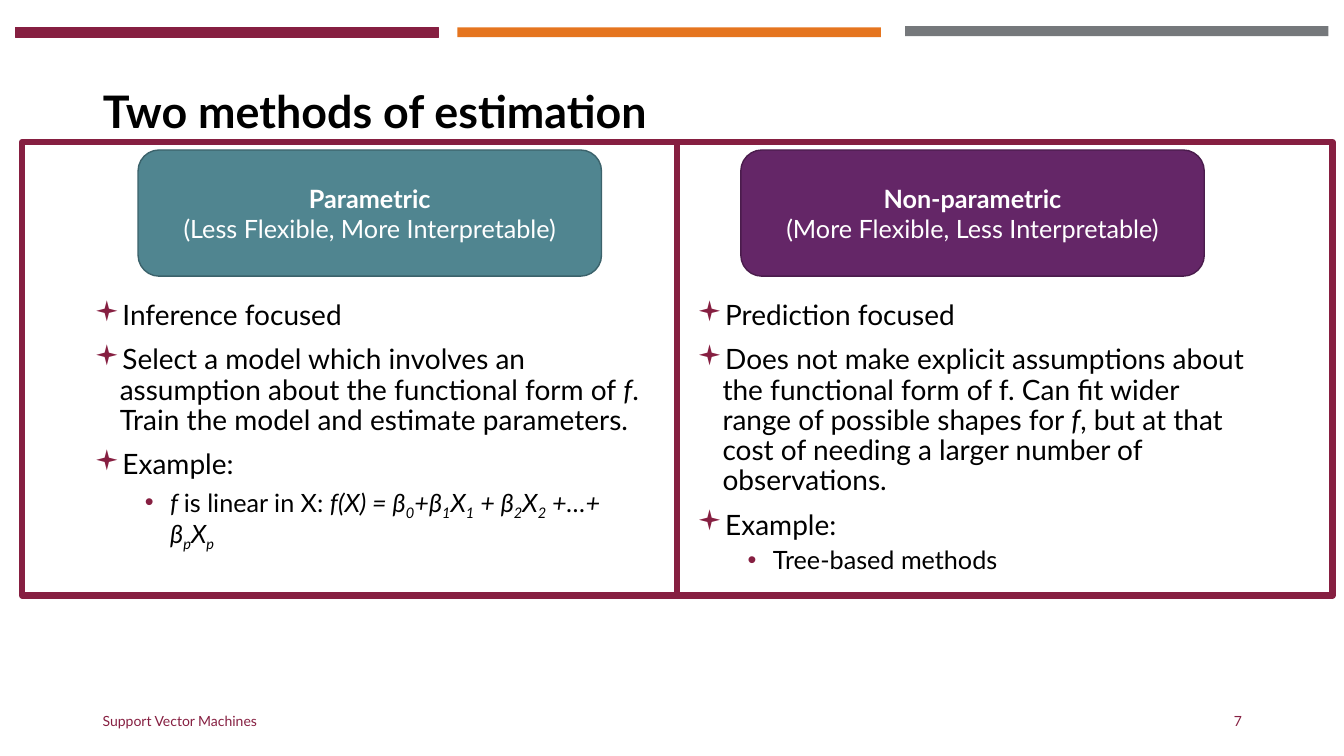
"""Build the slide comparing parametric and non-parametric estimation."""
from dataclasses import dataclass

from lxml.etree import SubElement
from pptx import Presentation
from pptx.dml.color import RGBColor as Rgb
from pptx.enum.shapes import MSO_SHAPE as Kind
from pptx.enum.text import MSO_ANCHOR as Anchor, MSO_AUTO_SIZE as Fit, PP_ALIGN as Align
from pptx.oxml.ns import qn
from pptx.util import Cm, Pt

HUES = {
    "maroon": "861F41", "orange": "E5751F", "gray": "75787B",
    "teal": "508590", "pine": "3B626B", "purple": "642667", "plum": "4A1C4C",
    "black": "000000", "white": "FFFFFF",
}
FACE = "Lato"
PITCH = 15.19


@dataclass
class Box:
    left: float
    top: float
    width: float
    height: float

    def place(self) -> tuple:
        return Cm(self.left), Cm(self.top), Cm(self.width), Cm(self.height)


@dataclass
class Bar:
    left: float
    top: float
    hue: str
    edge: float = 0


@dataclass
class Note:
    box: Box
    text: str
    align: Align


@dataclass
class Span:
    text: str
    slant: bool = False
    sub: bool = False


@dataclass
class Item:
    spans: list[Span]
    level: int = 0


@dataclass
class Method:
    name: str
    trait: str
    fill: str
    edge: str
    items: list[Item]


BARS = [
    Bar(0.38, 0.69, "maroon", 0.75),
    Bar(22.81, 0.66, "gray"),
    Bar(11.53, 0.69, "orange"),
]
NOTES = [
    Note(Box(2.34, 17.65, 11.43, 1.02), "Support Vector Machines", Align.LEFT),
    Note(Box(23.93, 17.65, 7.62, 1.02), "7", Align.RIGHT),
]
TERMS = [("f(X) = β", "0"), ("+β", "1"), ("X", "1"), (" + β", "2"),
         ("X", "2"), (" +…+ β", "p"), ("X", "p")]
MODEL = [Span("f ", True), Span("is linear in X: ")] + [
    span for base, mark in TERMS for span in (Span(base, True), Span(mark, True, True))
]
METHODS = [
    Method("Parametric", "(Less Flexible, More Interpretable)", "teal", "pine", [
        Item([Span("Inference focused")]),
        Item([Span("Select a model which involves an assumption about the functional form of "),
              Span("f", True), Span(". Train the model and estimate parameters.")]),
        Item([Span("Example:")]),
        Item(MODEL, 1),
    ]),
    Method("Non-parametric", "(More Flexible, Less Interpretable)", "purple", "plum", [
        Item([Span("Prediction focused")]),
        Item([Span("Does not make explicit assumptions about the functional form of f. "
                   "Can fit wider range of possible shapes for "), Span("f", True),
              Span(", but at that cost of needing a larger number of observations.")]),
        Item([Span("Example:")]),
        Item([Span("Tree-based methods")], 1),
    ]),
]


def color(hue: str) -> Rgb:
    return Rgb.from_string(HUES[hue])


def style(para, size: float, hue: str, bold: bool = False) -> None:
    font = para.font
    font.name, font.size, font.bold = FACE, Pt(size), bold
    font.color.rgb = color(hue)


def draw(slide, kind: Kind, box: Box, fill: str = "", edge: str = "", width: float = 0):
    shape = slide.shapes.add_shape(kind, *box.place())
    shape.shadow.inherit = False
    if fill:
        shape.fill.solid()
        shape.fill.fore_color.rgb = color(fill)
    else:
        shape.fill.background()
    if edge:
        shape.line.color.rgb = color(edge)
        shape.line.width = Pt(width)
    else:
        shape.line.fill.background()
    return shape


def label(slide, box: Box, anchor: Anchor):
    frame = slide.shapes.add_textbox(*box.place()).text_frame
    frame.word_wrap = True
    frame.vertical_anchor = anchor
    return frame


def bullet(para, level: int) -> None:
    props = para._p.get_or_add_pPr()
    props.set("marL", str(Cm(1.91 if level else 0.64)))
    props.set("indent", str(Cm(-0.64)))
    tint = SubElement(props, qn("a:buClr"))
    SubElement(tint, qn("a:srgbClr")).set("val", HUES["maroon"])
    SubElement(props, qn("a:buFont")).set("typeface", "Arial" if level else "Wingdings")
    SubElement(props, qn("a:buChar")).set("char", "•" if level else "▪")


def write(frame, items: list[Item]) -> None:
    for rank, item in enumerate(items):
        para = frame.add_paragraph() if rank else frame.paragraphs[0]
        para.level = item.level
        bullet(para, item.level)
        para.line_spacing = 0.9
        para.space_before = Pt((5 if item.level else 10) if rank else 0)
        style(para, 18 if item.level else 20, "black")
        for span in item.spans:
            run = para.add_run()
            run.text = span.text
            if span.slant:
                run.font.italic = True
            if span.sub:
                run._r.get_or_add_rPr().set("baseline", "-25000")


def card(slide, box: Box, method: Method) -> None:
    shape = draw(slide, Kind.ROUNDED_RECTANGLE, box, method.fill, method.edge, 1)
    frame = shape.text_frame
    frame.word_wrap = True
    frame.vertical_anchor = Anchor.MIDDLE
    frame.text = f"{method.name}\n{method.trait}"
    for para, bold in zip(frame.paragraphs, (True, False)):
        para.alignment = Align.CENTER
        style(para, 18, "white", bold)


def head(slide, box: Box, text: str) -> None:
    title = slide.shapes.title
    title.left, title.top, title.width, title.height = box.place()
    frame = title.text_frame
    frame.text = text
    frame.auto_size = Fit.NONE
    frame.vertical_anchor = Anchor.MIDDLE
    para = frame.paragraphs[0]
    para.alignment = Align.LEFT
    para.line_spacing = 0.9
    style(para, 32, "black", True)


def main() -> None:
    deck = Presentation()
    deck.slide_width, deck.slide_height = Cm(33.87), Cm(19.05)
    slide = deck.slides.add_slide(deck.slide_layouts[5])
    for bar in BARS:
        draw(slide, Kind.RECTANGLE, Box(bar.left, bar.top, 10.67, 0.25),
             bar.hue, bar.hue if bar.edge else "", bar.edge)
    head(slide, Box(2.34, 1.02, 29.21, 3.68), "Two methods of estimation")
    for col, method in enumerate(METHODS):
        body = Box(2.13 + col * PITCH, 7.47, 14.4, 9.14)
        write(label(slide, body, Anchor.TOP), method.items)
        card(slide, Box(3.48 + col * PITCH, 3.78, 11.68, 3.18), method)
        draw(slide, Kind.RECTANGLE, Box(0.56 + col * 16.51, 3.58, 16.51, 11.43),
             edge="maroon", width=4.5)
    for note in NOTES:
        frame = label(slide, note.box, Anchor.MIDDLE)
        frame.text = note.text
        frame.paragraphs[0].alignment = note.align
        style(frame.paragraphs[0], 10, "maroon")
    deck.save("out.pptx")


if __name__ == "__main__":
    main()
